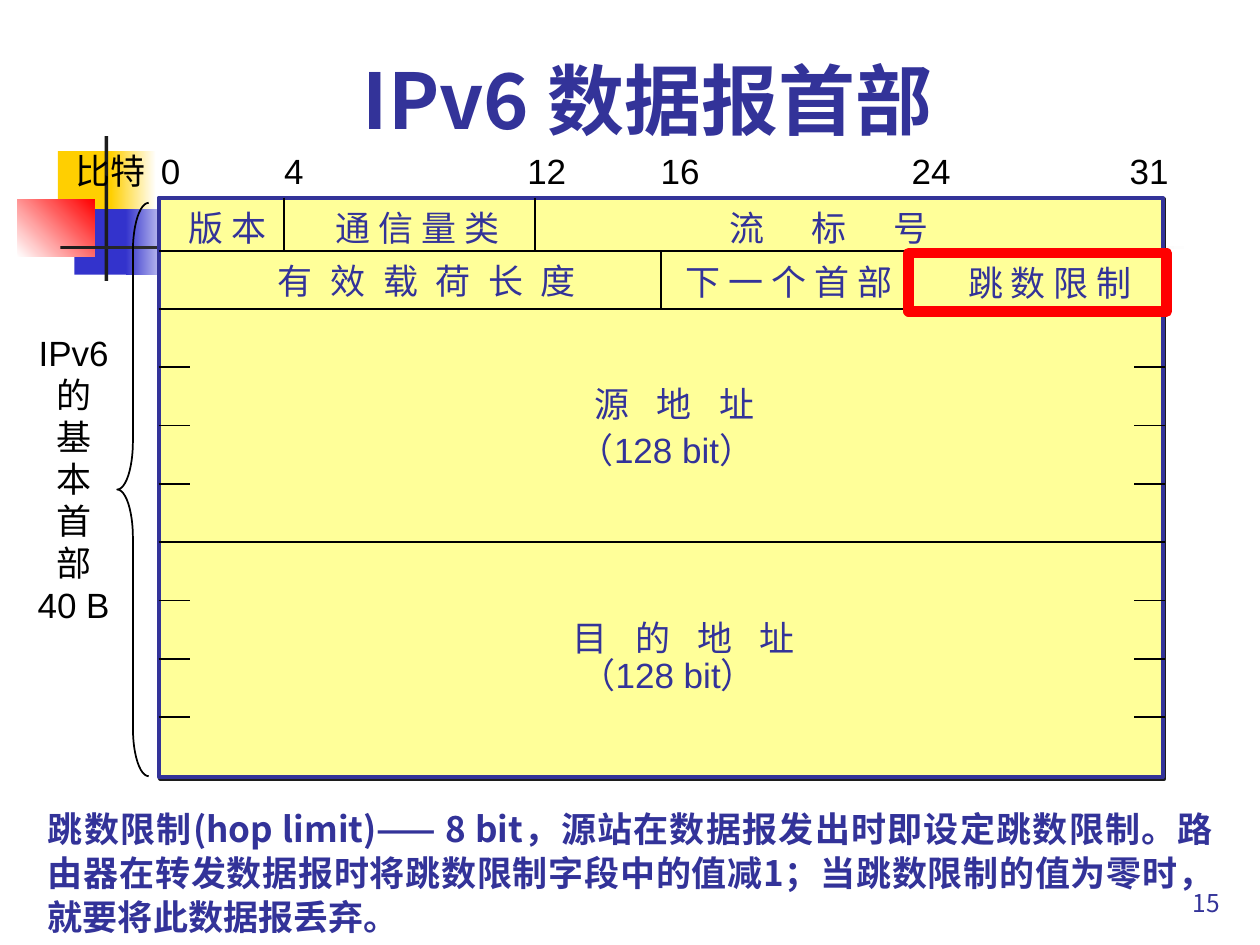
from dataclasses import dataclass
from typing import Optional

from lxml import etree
from pptx import Presentation
from pptx import util as u
from pptx.dml.color import RGBColor
from pptx.enum import shapes, text
from pptx.oxml import ns

BLACK = RGBColor(0, 0, 0)
WHITE = RGBColor(255, 255, 255)
INK = RGBColor(0x1C, 0x1C, 0x1C)
NAVY = RGBColor(0x33, 0x33, 0x99)
BLUE = RGBColor(0x33, 0x33, 0xCC)
GOLD = RGBColor(0xFF, 0xCF, 0x01)
RED = RGBColor(0xFF, 0, 0)
CREAM = RGBColor(0xFF, 0xFF, 0x99)
ARIAL, NOTO = "Arial", "Noto Sans CJK JP"
SPACE_PT = 2.78

prs = Presentation()
prs.slide_width, prs.slide_height = u.Inches(10), u.Inches(7.5)
s = prs.slides.add_slide(prs.slide_layouts[1])


@dataclass
class Box:
    """Left, top, width and height in percent of the slide."""
    x: float
    y: float
    w: float
    h: float

    def emu(self) -> list[int]:
        sides = ((self.x, prs.slide_width), (self.y, prs.slide_height),
                 (self.w, prs.slide_width), (self.h, prs.slide_height))
        return [u.Emu(round(share * full / 100)) for share, full in sides]


@dataclass
class Deco:
    box: Box
    start: RGBColor
    end: Optional[RGBColor] = None
    angle: float = 0


@dataclass
class Label:
    text: str
    bit: float
    row: float
    bits: float
    color: RGBColor = NAVY
    extra_spaces: int = 0


def cells(bit: float, row: float, bits: float, rows: float) -> Box:
    return Box(12.6 + 2.49 * bit, 20.36 + 6.17 * row, 2.49 * bits, 6.17 * rows)


def add_shape(box: Box, kind=shapes.MSO_SHAPE.RECTANGLE, fill: Optional[RGBColor] = None,
              line: Optional[RGBColor] = None, width: float = 1):
    sp = s.shapes.add_shape(kind, *box.emu())
    sp.shadow.inherit = False
    if fill is None:
        sp.fill.background()
    else:
        sp.fill.solid()
        sp.fill.fore_color.rgb = fill
    if line is None:
        sp.line.fill.background()
    else:
        sp.line.color.rgb = line
        sp.line.width = u.Pt(width)
    return sp


def add_deco(deco: Deco) -> None:
    sp = add_shape(deco.box, fill=deco.start)
    if deco.end is not None:
        sp.fill.gradient()
        sp.fill.gradient_angle = deco.angle
        for stop, color in zip(sp.fill.gradient_stops, (deco.start, deco.end)):
            stop.color.rgb = color


def add_line(bit: float, row: float, bits: float, rows: float) -> None:
    x, y, w, h = cells(bit, row, bits, rows).emu()
    cn = s.shapes.add_connector(shapes.MSO_CONNECTOR.STRAIGHT, x, y, x + w, y + h)
    cn.line.color.rgb = BLACK
    cn.line.width = u.Pt(1)
    etree.SubElement(cn._element.spPr, ns.qn("a:effectLst"))


def write(sp, lines: list[str], size: float, color: RGBColor, font: str = ARIAL,
          bold: bool = False, align=text.PP_ALIGN.LEFT, wrap: bool = False,
          anchor=text.MSO_ANCHOR.TOP, spacing: float = 0) -> None:
    tf = sp.text_frame
    tf.auto_size = text.MSO_AUTO_SIZE.NONE
    tf.word_wrap = wrap
    tf.vertical_anchor = anchor
    for i, line in enumerate(lines):
        p = tf.paragraphs[0] if i == 0 else tf.add_paragraph()
        p.alignment = align
        r = p.add_run()
        r.text = line
        r.font.size = u.Pt(size)
        r.font.bold = bold
        r.font.color.rgb = color
        r.font.name = font
        rPr = r._r.get_or_add_rPr()
        etree.SubElement(rPr, ns.qn("a:ea"), typeface=NOTO)
        if spacing:
            rPr.set("spc", str(round(spacing * 100)))


def add_label(label: Label) -> None:
    sp = s.shapes.add_textbox(*cells(label.bit, label.row, label.bits, 0.93).emu())
    write(sp, [label.text], 20, label.color, spacing=label.extra_spaces * SPACE_PT)


def place(sp, box: Box):
    sp.left, sp.top, sp.width, sp.height = box.emu()
    return sp


DECOS = [
    Deco(Box(4.6, 16, 4.8, 6.93), GOLD),
    Deco(Box(8.8, 16, 3.6, 6.93), GOLD, WHITE),
    Deco(Box(5.9, 22.13, 4.6, 6.93), BLUE),
    Deco(Box(10, 22.13, 4, 6.93), BLUE, WHITE),
    Deco(Box(1.4, 21.07, 6.1, 6.13), WHITE, RED, 45),
    Deco(Box(8.3, 14.4, 0.3, 15.33), INK),
    Deco(Box(4.8, 26, 90, 0.4), INK, WHITE),
]
BIT_NUMBERS = [("比特", -3.05, 3.05), ("0", -0.33, 1.4), ("4", 3.6, 1.4), ("12", 11.35, 2.05),
               ("16", 15.6, 2.05), ("24", 23.6, 2.05), ("31", 30.55, 2.05)]
FIELDS = [
    Label("版 本", 0.56, 0.14, 3.3),
    Label("通 信 量 类", 5.25, 0.14, 6),
    Label("流 标 号", 17.8, 0.14, 6.67, extra_spaces=4),
    Label("有 效 载 荷 长 度", 3.4, 1.05, 10, extra_spaces=1),
    Label("下 一 个 首 部", 16.4, 1.06, 7.4),
    Label("跳 数 限 制", 25.4, 1.08, 6),
    Label("源 地 址", 13.5, 3.16, 5.66, extra_spaces=2),
    Label("（128 bit）", 13, 3.94, 6.9),
    Label("目 的 地 址", 12.8, 7.16, 7.5, extra_spaces=2),
    Label("（128 bit）", 13.05, 7.8, 6.9),
]

write(place(s.shapes.title, Box(27.8, 4.93, 48.8, 11.2)), ["IPv6 数据报首部"], 44, NAVY, NOTO, True)

body = place(s.placeholders[1], Box(2.8, 84.53, 94.5, 15.33))
p = body.text_frame.paragraphs[0]
pPr = p._p.get_or_add_pPr()
pPr.set("marL", "0")
pPr.set("indent", "0")
etree.SubElement(pPr, ns.qn("a:buNone"))
p.line_spacing = 1.05
p.space_before = u.Pt(0)
write(body, ["跳数限制(hop limit)—— 8 bit，源站在数据报发出时即设定跳数限制。路由器在转发数据报时将"
             "跳数限制字段中的值减1；当跳数限制的值为零时，就要将此数据报丢弃。"],
      20, NAVY, NOTO, True, text.PP_ALIGN.JUSTIFY, True)

for deco in DECOS:
    add_deco(deco)

header = add_shape(cells(0, 0.09, 32, 9.94), fill=CREAM, line=NAVY, width=2.25)
shadow = etree.SubElement(header._element.spPr.find(ns.qn("a:effectLst")), ns.qn("a:outerShdw"),
                          dist=str(u.Pt(1.4)), dir="2700000", algn="ctr", rotWithShape="0")
etree.SubElement(shadow, ns.qn("a:srgbClr"), val=str(INK))

for row in range(1, 10):
    add_line(0, row, 32.08, 0)
for row in (2.66, 6.66):
    add_shape(cells(1, row, 30.08, 2.68), fill=CREAM)
for bit in (4, 12):
    add_line(bit, 0.09, 0, 0.91)
for bit in (16, 24):
    add_line(bit, 1, 0, 1)

for number, bit, bits in BIT_NUMBERS:
    add_label(Label(number, bit, -0.84, bits, BLACK))
for field in FIELDS:
    add_label(field)

brace = add_shape(Box(9.3, 21.47, 2.5, 60.67), shapes.MSO_SHAPE.LEFT_BRACE, line=BLACK)
brace.adjustments[0] = 1.52
write(s.shapes.add_textbox(*Box(2, 34.4, 7.7, 36.8).emu()),
      ["IPv6", *"的基本首部", "40 B"], 20, BLACK, align=text.PP_ALIGN.CENTER)
add_shape(cells(23.9, 1.04, 8.23, 1), line=RED, width=6)
write(s.shapes.add_textbox(*Box(77, 91.07, 20.8, 6.67).emu()), ["15"], 14, NAVY, NOTO,
      align=text.PP_ALIGN.RIGHT, wrap=True, anchor=text.MSO_ANCHOR.BOTTOM)

prs.save("out.pptx")
